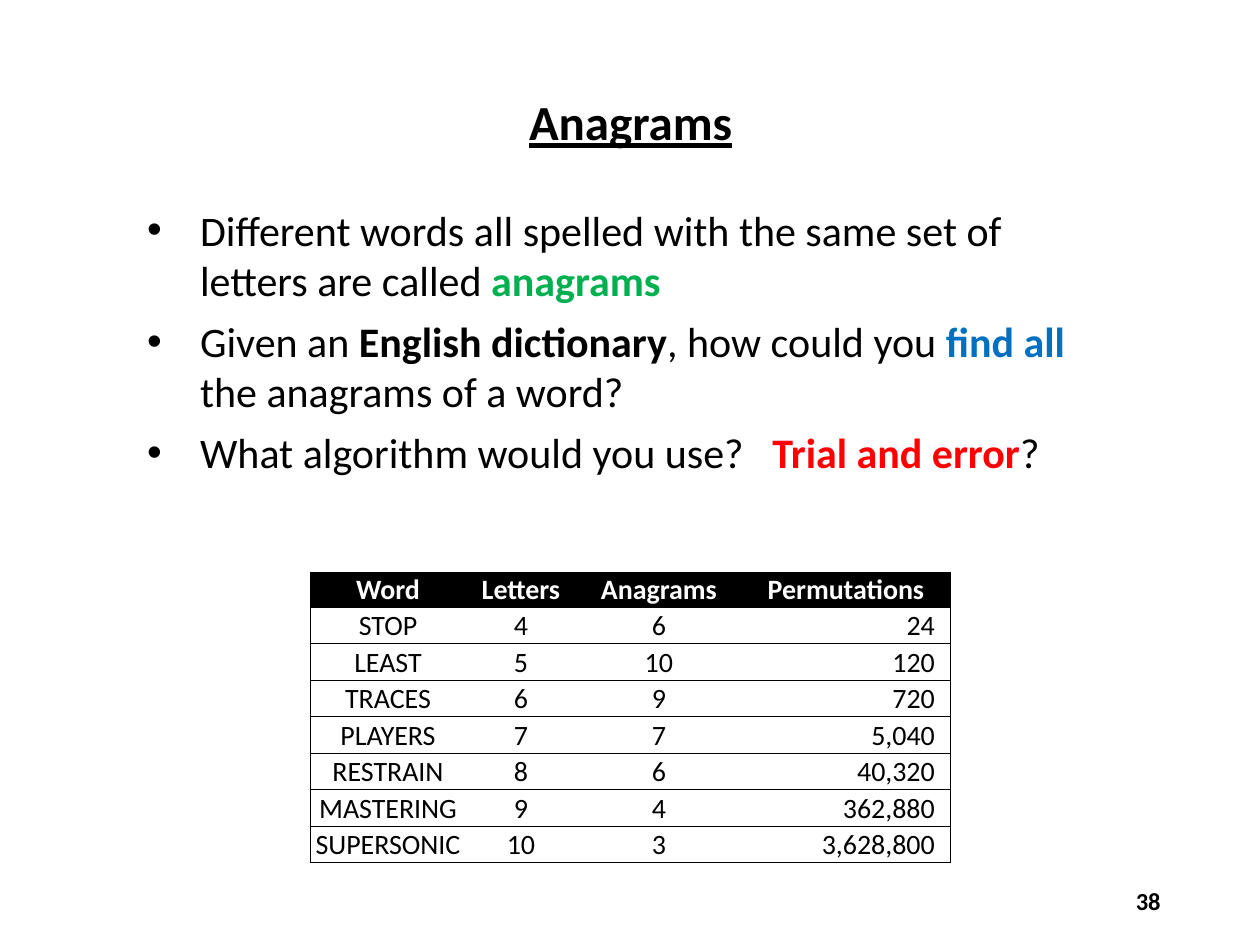
from lxml.etree import SubElement
from pptx import Presentation
from pptx.dml.color import RGBColor
from pptx.enum.text import MSO_ANCHOR, PP_ALIGN
from pptx.oxml.ns import qn
from pptx.util import Inches, Pt

BLACK = RGBColor(0x00, 0x00, 0x00)
WHITE = RGBColor(0xFF, 0xFF, 0xFF)
GREEN = RGBColor(0x00, 0xB0, 0x50)
BLUE = RGBColor(0x00, 0x70, 0xC0)
RED = RGBColor(0xFF, 0x00, 0x00)
FONT = "Calibri"
NO_STYLE = "{2D5ABB26-0587-4C30-8999-92F81FD0307C}"

# Each bullet is a list of (text, format) runs
BULLETS = [
    [("Different words all spelled with the same set of letters are called ", {}),
     ("anagrams", {"color": GREEN, "bold": True})],
    [("Given an ", {}), ("English dictionary", {"bold": True}),
     (", how could you ", {}), ("find all", {"color": BLUE, "bold": True}),
     (" the anagrams of a word?", {})],
    [("What algorithm would you use?   ", {}),
     ("Trial and error", {"color": RED, "bold": True}), ("?", {})],
]

HEADER = ("Word", "Letters", "Anagrams", "Permutations")
ROWS = [
    ("STOP", "4", "6", "24"),
    ("LEAST", "5", "10", "120"),
    ("TRACES", "6", "9", "720"),
    ("PLAYERS", "7", "7", "5,040"),
    ("RESTRAIN", "8", "6", "40,320"),
    ("MASTERING", "9", "4", "362,880"),
    ("SUPERSONIC", "10", "3", "3,628,800"),
]
COL_WIDTHS = (1.24, 0.87, 1.32, 1.65)
HEADER_HEIGHT, ROW_HEIGHT = 0.27, 0.29


def add_text(p, text, size=24, color=BLACK, bold=False, underline=False,
             align=None):
    r = p.add_run()
    r.text = text
    r.font.name = FONT
    r.font.size = Pt(size)
    r.font.color.rgb = color
    r.font.bold = bold
    r.font.underline = underline
    if align is not None:
        p.alignment = align


def add_box(s, left, top, width, height):
    box = s.shapes.add_textbox(Inches(left), Inches(top), Inches(width), Inches(height))
    tf = box.text_frame
    tf.word_wrap = True
    return tf


def set_bullet(p, indent):
    pPr = p._p.get_or_add_pPr()
    pPr.set("marL", str(Inches(indent)))
    pPr.set("indent", str(-Inches(indent)))
    SubElement(pPr, qn("a:buFont"), typeface="Arial")
    SubElement(pPr, qn("a:buChar"), char="•")


def set_borders(cell, sides):
    tcPr = cell._tc.get_or_add_tcPr()
    for side in sides:
        ln = SubElement(tcPr, qn(f"a:ln{side}"), w=str(Pt(0.5)))
        fill = SubElement(ln, qn("a:solidFill"))
        SubElement(fill, qn("a:srgbClr"), val=str(BLACK))


def add_title(s, left, top, width, height):
    tf = add_box(s, left, top, width, height)
    add_text(tf.paragraphs[0], "Anagrams", size=28, bold=True, underline=True,
             align=PP_ALIGN.CENTER)


def add_bullets(s, left, top, width, height):
    tf = add_box(s, left, top, width, height)
    for i, runs in enumerate(BULLETS):
        p = tf.add_paragraph() if i else tf.paragraphs[0]
        p.space_after = Pt(6)
        set_bullet(p, 0.42)
        for text, fmt in runs:
            add_text(p, text, **fmt)


def add_word_table(s, left, top, width, height):
    data = [HEADER, *ROWS]
    table = s.shapes.add_table(len(data), len(HEADER), Inches(left), Inches(top),
                               Inches(width), Inches(height)).table
    table._tbl.tblPr.find(qn("a:tableStyleId")).text = NO_STYLE
    table.horz_banding = False
    last = len(HEADER) - 1
    for col, col_width in zip(table.columns, COL_WIDTHS):
        col.width = Inches(col_width)
    for i, values in enumerate(data):
        is_header = i == 0
        table.rows[i].height = Inches(HEADER_HEIGHT if is_header else ROW_HEIGHT)
        for j, value in enumerate(values):
            cell = table.cell(i, j)
            is_number = j == last and not is_header
            cell.vertical_anchor = MSO_ANCHOR.BOTTOM
            cell.margin_left = cell.margin_top = Inches(0.01)
            cell.margin_right = Inches(0.12 if is_number else 0.01)
            cell.margin_bottom = 0
            # Horizontal rules everywhere, vertical ones on the outside only
            set_borders(cell, ("L" if j == 0 else "") + ("R" if j == last else "") + "TB")
            if is_header:
                cell.fill.solid()
                cell.fill.fore_color.rgb = BLACK
            else:
                cell.fill.background()
            add_text(cell.text_frame.paragraphs[0], value, size=16, bold=is_header,
                     color=WHITE if is_header else BLACK,
                     align=PP_ALIGN.RIGHT if is_number else PP_ALIGN.CENTER)


def add_page_number(s, left, top, width, height):
    tf = add_box(s, left, top, width, height)
    tf.vertical_anchor = MSO_ANCHOR.MIDDLE
    add_text(tf.paragraphs[0], "38", size=14, bold=True, align=PP_ALIGN.RIGHT)


def main():
    prs = Presentation()
    prs.slide_width, prs.slide_height = Inches(10), Inches(7.5)
    s = prs.slides.add_slide(prs.slide_layouts[6])
    add_bullets(s, 1.07, 1.57, 7.86, 2.29)
    add_title(s, 2.64, 0.68, 4.73, 0.57)
    add_word_table(s, 2.46, 4.54, sum(COL_WIDTHS), HEADER_HEIGHT + ROW_HEIGHT * len(ROWS))
    add_page_number(s, 7.06, 6.95, 2.25, 0.4)
    prs.save("out.pptx")


if __name__ == "__main__":
    main()
